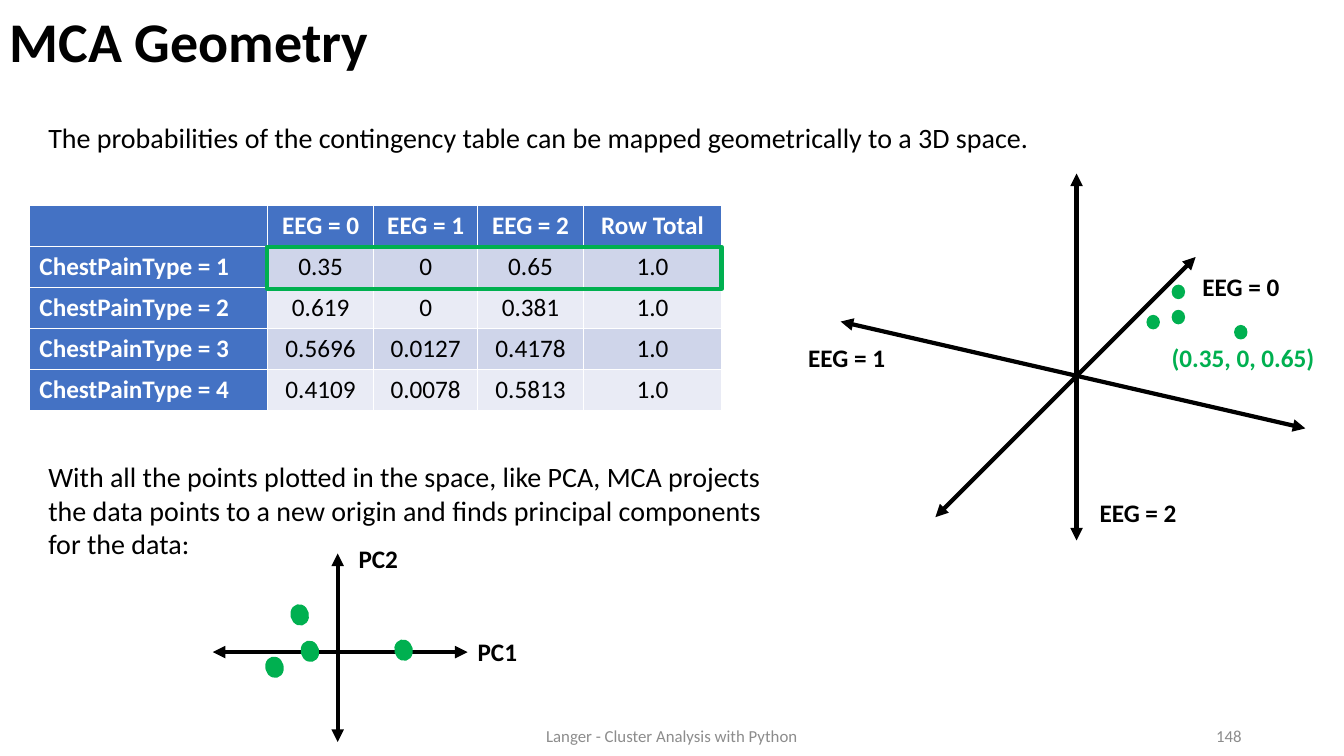
from dataclasses import dataclass

from lxml.etree import SubElement
from pptx import Presentation
from pptx.dml.color import RGBColor
from pptx.enum.shapes import MSO_CONNECTOR, MSO_SHAPE
from pptx.enum.text import MSO_ANCHOR, PP_ALIGN
from pptx.oxml.ns import qn
from pptx.util import Pt


@dataclass(frozen=True)
class Theme:
    font: str = "Calibri"
    black: str = "000000"
    white: str = "FFFFFF"
    grey: str = "8C8C8C"
    green: str = "00B050"
    header: str = "4472C4"
    bands: tuple = ("CFD5EA", "E9EBF5")
    title: int = 40
    body: int = 20
    label: int = 18
    footer: int = 12
    stroke: int = 3


THEME = Theme()

TITLE = "MCA Geometry"
INTRO = "The probabilities of the contingency table can be mapped geometrically to a 3D space."
PROJECTION = ("With all the points plotted in the space, like PCA, MCA projects the data points "
              "to a new origin and finds principal components for the data:")
FOOTER = "Langer - Cluster Analysis with Python"
PAGE_NUMBER = "148"

CONTINGENCY = [
    ("", "EEG = 0", "EEG = 1", "EEG = 2", "Row Total"),
    ("ChestPainType = 1", "0.35", "0", "0.65", "1.0"),
    ("ChestPainType = 2", "0.619", "0", "0.381", "1.0"),
    ("ChestPainType = 3", "0.5696", "0.0127", "0.4178", "1.0"),
    ("ChestPainType = 4", "0.4109", "0.0078", "0.5813", "1.0"),
]
TABLE_LEFT, TABLE_TOP, ROW_HEIGHT = 21, 147, 29.2
COLUMN_WIDTHS = (170, 76, 74.2, 75.6, 98.6)

# Axes are (x1, y1, x2, y2); labels are (text, left, top, width); dots are (left, top).
SPACE = {
    "axes": [(769, 386, 769, 124), (600.5, 229.7, 932.4, 306), (668.2, 369.4, 854, 183.6)],
    "labels": [("EEG = 0", 851.8, 190, 70.6), ("EEG = 1", 570.2, 241.2, 70.6),
               ("EEG = 2", 778.3, 352, 108.7)],
    "dots": [(882, 232.6), (837.4, 203.8), (837.4, 221.8), (819.4, 225.4)],
    "dot_size": (8.6, 9.4),
    "tilt": 0,
}
COMPONENTS = {
    "axes": [(152, 465.8, 334, 465.8), (241.2, 395.3, 241.2, 530)],
    "labels": [("PC1", 334, 450.7, 108.7), ("PC2", 249, 384.5, 108.7)],
    "dots": [(282.2, 457.2), (208, 432), (215.3, 458), (190, 469.4)],
    "dot_size": (12.2, 14.4),
    "tilt": 346,
}


def color(value):
    return RGBColor.from_string(value)


def write(frame, text, size=THEME.label, ink=THEME.black, bold=False,
          align=PP_ALIGN.LEFT, spacing=None):
    para = frame.paragraphs[0]
    para.alignment = align
    if spacing:
        para.line_spacing = spacing
    span = para.add_run()
    span.text = text
    span.font.name = THEME.font
    span.font.size = Pt(size)
    span.font.bold = bold
    span.font.color.rgb = color(ink)


def add_text(shapes, text, left, top, width, height=29, anchor=MSO_ANCHOR.TOP, **style):
    box = shapes.add_textbox(Pt(left), Pt(top), Pt(width), Pt(height))
    box.text_frame.word_wrap = True
    box.text_frame.vertical_anchor = anchor
    write(box.text_frame, text, **style)


def add_shape(shapes, kind, left, top, width, height, fill=None, stroke=1, tilt=0):
    shape = shapes.add_shape(kind, Pt(left), Pt(top), Pt(width), Pt(height))
    shape.shadow.inherit = False
    shape.rotation = tilt
    if fill:
        shape.fill.solid()
        shape.fill.fore_color.rgb = color(fill)
    else:
        shape.fill.background()
    shape.line.color.rgb = color(THEME.green)
    shape.line.width = Pt(stroke)


def add_axis(shapes, *ends):
    """Draw a line with an arrowhead at each end."""
    axis = shapes.add_connector(MSO_CONNECTOR.STRAIGHT, *map(Pt, ends))
    axis.line.color.rgb = color(THEME.black)
    axis.line.width = Pt(THEME.stroke)
    outline = axis.line._get_or_add_ln()
    for end in ("a:headEnd", "a:tailEnd"):
        SubElement(outline, qn(end), type="triangle")
    SubElement(axis._element.spPr, qn("a:effectLst"))


def add_plot(shapes, plot):
    for ends in plot["axes"]:
        add_axis(shapes, *ends)
    for text, left, top, width in plot["labels"]:
        add_text(shapes, text, left, top, width, bold=True)
    for left, top in plot["dots"]:
        add_shape(shapes, MSO_SHAPE.OVAL, left, top, *plot["dot_size"],
                  fill=THEME.green, tilt=plot["tilt"])


def add_contingency_table(shapes):
    table = shapes.add_table(
        len(CONTINGENCY), len(COLUMN_WIDTHS), Pt(TABLE_LEFT), Pt(TABLE_TOP),
        Pt(sum(COLUMN_WIDTHS)), Pt(ROW_HEIGHT * len(CONTINGENCY))).table
    table.first_col = True
    for column, width in zip(table.columns, COLUMN_WIDTHS):
        column.width = Pt(width)
    for i, values in enumerate(CONTINGENCY):
        table.rows[i].height = Pt(ROW_HEIGHT)
        for j, value in enumerate(values):
            cell = table.cell(i, j)
            heading = i == 0 or j == 0
            cell.fill.solid()
            cell.fill.fore_color.rgb = color(THEME.header if heading else THEME.bands[(i - 1) % 2])
            write(cell.text_frame, value, bold=heading,
                  ink=THEME.white if heading else THEME.black,
                  align=PP_ALIGN.CENTER if j else PP_ALIGN.LEFT)


def main():
    deck = Presentation()
    deck.slide_width, deck.slide_height = Pt(960), Pt(540)
    page = deck.slides.add_slide(deck.slide_layouts[6])
    shapes = page.shapes

    add_text(shapes, TITLE, 0, 1.4, 766, 60, anchor=MSO_ANCHOR.MIDDLE,
             size=THEME.title, bold=True, spacing=0.9)
    add_text(shapes, FOOTER, 318, 511, 324, anchor=MSO_ANCHOR.MIDDLE,
             size=THEME.footer, ink=THEME.grey, align=PP_ALIGN.CENTER)
    add_text(shapes, PAGE_NUMBER, 678, 511, 216, anchor=MSO_ANCHOR.MIDDLE,
             size=THEME.footer, ink=THEME.grey, align=PP_ALIGN.RIGHT)
    add_text(shapes, INTRO, 27.4, 82.8, 878, 31.5, size=THEME.body)

    add_contingency_table(shapes)
    add_shape(shapes, MSO_SHAPE.RECTANGLE, TABLE_LEFT + COLUMN_WIDTHS[0], TABLE_TOP + ROW_HEIGHT,
              sum(COLUMN_WIDTHS[1:]), ROW_HEIGHT + 1, stroke=THEME.stroke)

    add_plot(shapes, SPACE)
    add_text(shapes, "(0.35, 0, 0.65)", 825, 241.2, 121, ink=THEME.green, bold=True,
             align=PP_ALIGN.RIGHT)
    add_text(shapes, PROJECTION, 27.4, 324.7, 543.6, 80, size=THEME.body)
    add_plot(shapes.add_group_shape().shapes, COMPONENTS)

    deck.save("out.pptx")


if __name__ == "__main__":
    main()
